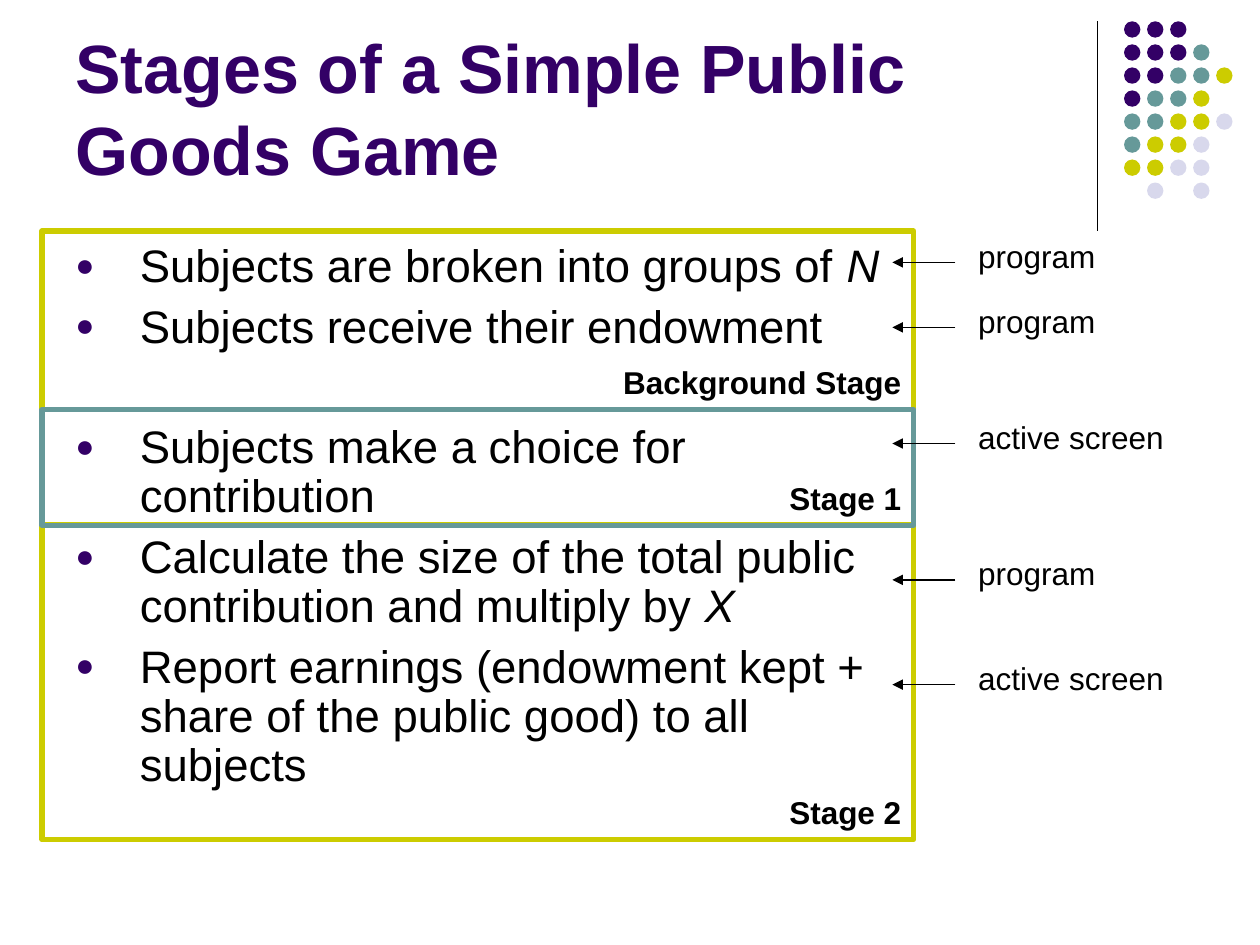
from lxml import etree
from pptx import Presentation
from pptx import util as u
from pptx.dml.color import RGBColor
from pptx.enum import shapes, text
from pptx.oxml.ns import qn

FONT = "Arial"
BLACK, PURPLE, TEAL, LIME, LILAC = "000000", "330066", "669999", "CCCC00", "D8D8EC"

# One letter per dot, a space where the grid stays empty
DOT_COLORS = {"P": PURPLE, "T": TEAL, "L": LIME, "G": LILAC}
DOT_ROWS = ["PPP", "PPPT", "PPTTL", "PTTL", "TTLLG", "TLLG", "LLGG", " G G"]
DOT_LEFT, DOT_TOP, DOT_SIZE, DOT_STEP = 22.66, 0.43, 0.33, 3.25 / 7

# Stage frames: label, top, height, colour; the teal one lies on top
STAGE_LEFT, STAGE_WIDTH = 0.85, 17.57
STAGES = [
    ("Background Stage", 4.66, 3.6, LIME),
    ("Stage 2", 10.58, 6.35, LIME),
    ("Stage 1", 8.26, 2.33, TEAL),
]
LABEL_WIDTH, LABEL_HEIGHT = 6.56, 1.02

# Steps: plain text, italic ending, space before in points
STEPS = [
    ("Subjects are broken into groups of ", "N", 6.5),
    ("Subjects receive their endowment", "", 6.5),
    ("Subjects make a choice for contribution", "", 41),
    ("Calculate the size of the total public contribution and multiply by ", "X", 6.5),
    ("Report earnings (endowment kept + share of the public good) to all subjects", "", 6.5),
]

# Callouts: text, height of the arrow
CALLOUTS = [
    ("program", 5.29),
    ("program", 6.6),
    ("active screen", 8.94),
    ("program", 11.69),
    ("active screen", 13.8),
]


def color(value):
    return RGBColor.from_string(value)


def add_text_box(page, left, top, width, height, anchor=text.MSO_ANCHOR.TOP):
    box = page.shapes.add_textbox(u.Cm(left), u.Cm(top), u.Cm(width), u.Cm(height))
    box.text_frame.word_wrap = True
    box.text_frame.vertical_anchor = anchor
    return box.text_frame


def style(para, size, hue=BLACK, bold=False):
    para.font.name = FONT
    para.font.size = u.Pt(size)
    para.font.bold = bold
    para.font.color.rgb = color(hue)


def add_label(page, left, top, width, words, bold=False, align=text.PP_ALIGN.LEFT):
    para = add_text_box(page, left, top, width, LABEL_HEIGHT).paragraphs[0]
    para.text = words
    para.alignment = align
    style(para, 18, bold=bold)


def add_line(page, x1, y1, x2, y2, arrow=False):
    line = page.shapes.add_connector(
        shapes.MSO_CONNECTOR.STRAIGHT, u.Cm(x1), u.Cm(y1), u.Cm(x2), u.Cm(y2))
    line.line.color.rgb = color(BLACK)
    line.line.width = u.Pt(0.75)
    if arrow:
        etree.SubElement(line.line._get_or_add_ln(), qn("a:tailEnd"), type="triangle")
    etree.SubElement(line._element.spPr, qn("a:effectLst"))


def add_dots(page):
    for row, letters in enumerate(DOT_ROWS):
        for column, letter in enumerate(letters):
            if letter == " ":
                continue
            dot = page.shapes.add_shape(
                shapes.MSO_SHAPE.OVAL,
                u.Cm(DOT_LEFT + column * DOT_STEP), u.Cm(DOT_TOP + row * DOT_STEP),
                u.Cm(DOT_SIZE), u.Cm(DOT_SIZE))
            dot.shadow.inherit = False
            dot.fill.solid()
            dot.fill.fore_color.rgb = color(DOT_COLORS[letter])
            dot.line.fill.background()


def add_title(page, words):
    frame = add_text_box(page, 1.27, 0.33, 20.95, 3.6, text.MSO_ANCHOR.BOTTOM)
    para = frame.paragraphs[0]
    para.text = words
    style(para, 39, PURPLE, bold=True)


def add_bullet(para):
    props = para._p.get_or_add_pPr()
    props.set("marL", str(u.Cm(1.3)))
    props.set("indent", str(u.Cm(-1.3)))
    hue = etree.Element(qn("a:buClr"))
    etree.SubElement(hue, qn("a:srgbClr"), val=PURPLE)
    size = etree.Element(qn("a:buSzPct"), val="70000")
    font = etree.Element(qn("a:buFont"), typeface=FONT)
    char = etree.Element(qn("a:buChar"), char="●")
    # Bullet settings stand between the spacing and the default font
    default = props.find(qn("a:defRPr"))
    for item in (hue, size, font, char):
        default.addprevious(item)


def add_steps(page):
    frame = add_text_box(page, 1.27, 4.78, 17.15, 12.24)
    for number, (plain, italic, gap) in enumerate(STEPS):
        para = frame.add_paragraph() if number else frame.paragraphs[0]
        para.line_spacing = 0.9
        para.space_before = u.Pt(gap)
        style(para, 26)
        add_bullet(para)
        para.add_run().text = plain
        if italic:
            span = para.add_run()
            span.text = italic
            span.font.italic = True


def add_frame(page, top, height, hue):
    frame = page.shapes.add_shape(
        shapes.MSO_SHAPE.RECTANGLE,
        u.Cm(STAGE_LEFT), u.Cm(top), u.Cm(STAGE_WIDTH), u.Cm(height))
    frame.shadow.inherit = False
    frame.fill.background()
    frame.line.color.rgb = color(hue)
    frame.line.width = u.Pt(3)


def add_callout(page, words, middle):
    add_line(page, 19.26, middle, 17.99, middle, arrow=True)
    add_label(page, 19.47, middle - 0.64, 4.45, words)


def main():
    deck = Presentation()
    deck.slide_width, deck.slide_height = u.Cm(25.4), u.Cm(19.05)
    page = deck.slides.add_slide(deck.slide_layouts[6])

    # Corner decoration
    add_line(page, 22.12, 0.43, 22.12, 4.66)
    add_dots(page)

    # Title and steps
    add_title(page, "Stages of a Simple Public Goods Game")
    add_steps(page)

    # Stage frames, then their labels in the lower right corners
    for _, top, height, hue in STAGES:
        add_frame(page, top, height, hue)
    for words, top, height, _ in STAGES:
        add_label(page, STAGE_LEFT + STAGE_WIDTH - LABEL_WIDTH,
                  top + height - 1.06, LABEL_WIDTH, words,
                  bold=True, align=text.PP_ALIGN.RIGHT)

    # Who carries out each step
    for words, middle in CALLOUTS:
        add_callout(page, words, middle)

    deck.save("out.pptx")


if __name__ == "__main__":
    main()
